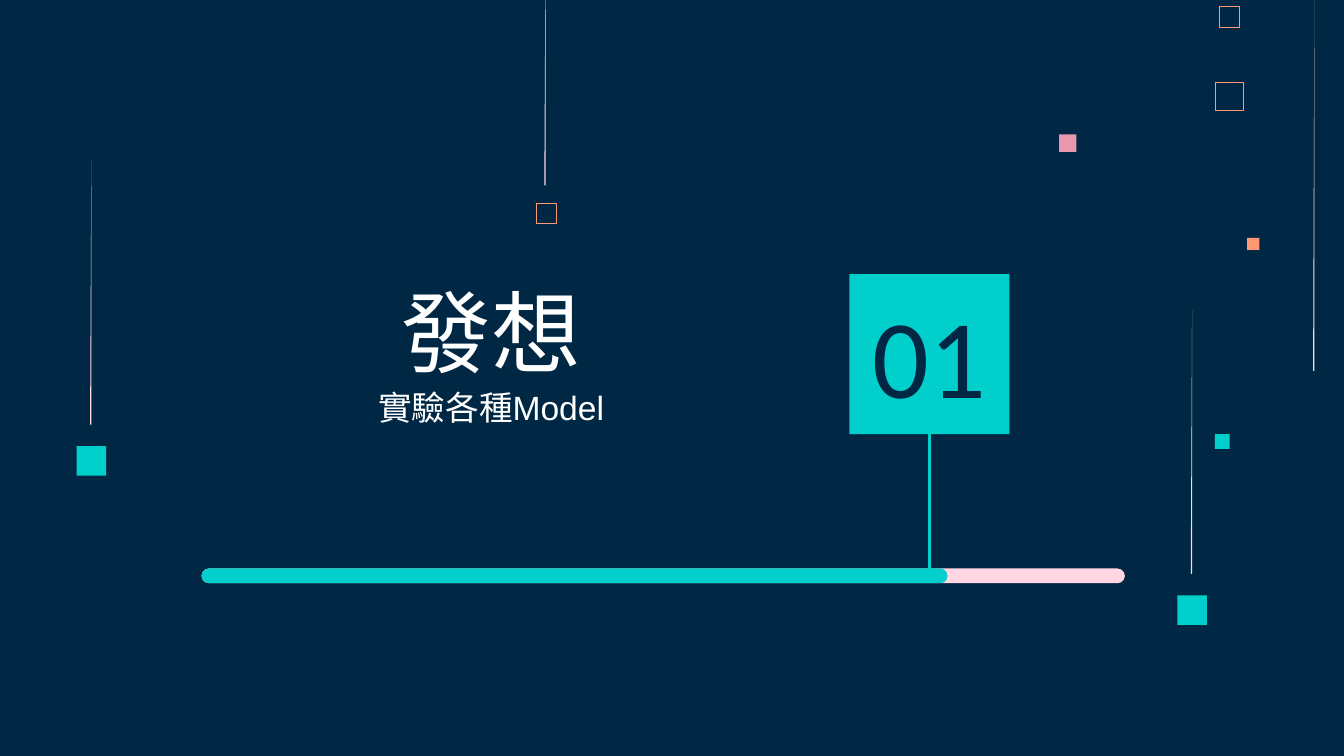
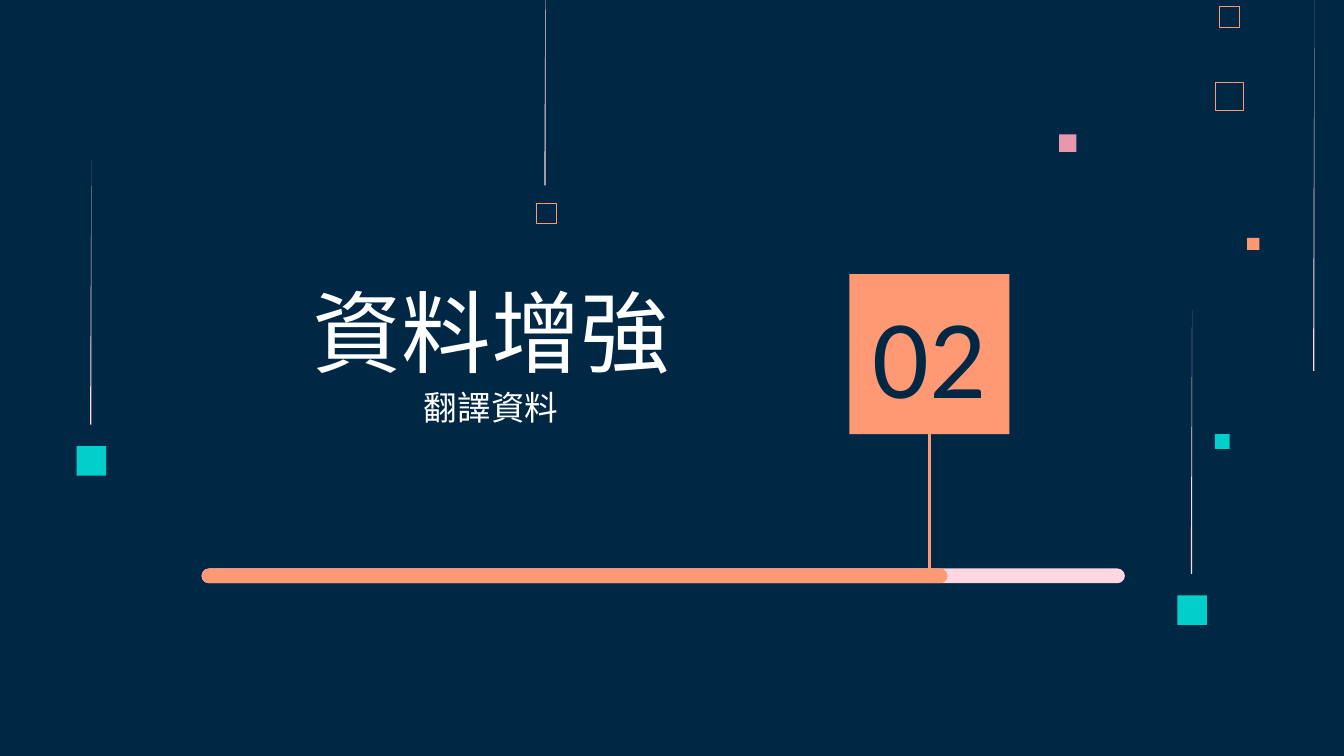
from dataclasses import dataclass

from lxml import etree
from pptx import Presentation
from pptx.dml.color import RGBColor
from pptx.enum.shapes import MSO_CONNECTOR, MSO_SHAPE
from pptx.enum.text import MSO_ANCHOR, MSO_AUTO_SIZE, PP_ALIGN
from pptx.oxml.ns import qn
from pptx.util import Inches, Pt

RECT, ROUNDED = MSO_SHAPE.RECTANGLE, MSO_SHAPE.ROUNDED_RECTANGLE
STRAIGHT = MSO_CONNECTOR.STRAIGHT
TOP, MIDDLE, BOTTOM = MSO_ANCHOR.TOP, MSO_ANCHOR.MIDDLE, MSO_ANCHOR.BOTTOM
CENTER = PP_ALIGN.CENTER
NO_AUTOFIT = MSO_AUTO_SIZE.NONE


@dataclass(frozen=True)
class Theme:
    """Colours, fonts and type sizes of the deck."""
    navy: str = "002845"
    teal: str = "00CFCC"
    orange: str = "FF9973"
    rose: str = "E898AC"
    pink: str = "FFD6E1"
    white: str = "FFFFFF"
    title_font: str = "Calibri"
    body_font: str = "Arial"
    title_size: int = 48
    subtitle_size: int = 18
    number_size: int = 60


THEME = Theme()

SOLID_SQUARES = [
    (7.88, 1, 0.13, THEME.rose),
    (9.04, 3.23, 0.11, THEME.teal),
    (9.28, 1.77, 0.09, THEME.orange),
    (8.76, 4.43, 0.22, THEME.teal),
    (0.57, 3.32, 0.22, THEME.teal),
]
OUTLINED_SQUARES = [
    (9.04, 0.61, 0.21, 0.45),
    (9.07, 0.05, 0.15, 0.32),
    (3.99, 1.51, 0.15, 0.32),
]
STREAKS = [
    (4.05, -0.48, 1.38),
    (9.77, 0, 2.76),
    (8.86, 2.31, 4.27),
    (0.67, 1.19, 3.16),
]
SECTIONS = [
    ("01", "發想", "實驗各種Model", THEME.teal),
    ("02", "資料增強", "翻譯資料", THEME.orange),
]


def rgb(color):
    """Turn a hex string into a colour."""
    return RGBColor.from_string(color)


def paint(sp, color):
    """Fill a shape with one colour, without outline or shadow."""
    sp.shadow.inherit = False
    sp.fill.solid()
    sp.fill.fore_color.rgb = rgb(color)
    sp.line.fill.background()
    return sp


def add_block(slide, kind, left, top, width, height, color):
    """Add a plain filled preset shape."""
    box = [Inches(n) for n in (left, top, width, height)]
    return paint(slide.shapes.add_shape(kind, *box), color)


def add_outlined_square(slide, left, top, size, weight):
    """Add an empty square with a thin outline."""
    sp = add_block(slide, RECT, left, top, size, size, THEME.orange)
    sp.fill.background()
    sp.line.color.rgb = rgb(THEME.orange)
    sp.line.width = Pt(weight)
    return sp


def add_streak(slide, left, top, bottom):
    """Add a very thin triangle that fades towards its top."""
    x, y, right, end = [Inches(n) for n in (left, top, left + 0.01, bottom)]
    builder = slide.shapes.build_freeform(right, y)
    builder.add_line_segments([(x, end), (right, end)], close=True)
    return paint(builder.convert_to_shape(), THEME.pink)


def add_progress_bar(slide, width, color):
    """Add a bar with round ends."""
    sp = add_block(slide, ROUNDED, 1.5, 4.23, width, 0.11, color)
    sp.adjustments[0] = 0.5


def add_stem(slide, badge, color):
    """Join the number badge to the progress bar."""
    x = badge.left + badge.width // 2
    line = slide.shapes.add_connector(
        STRAIGHT, x, badge.top + badge.height, x, Inches(4.3))
    line.begin_connect(badge, 2)
    line.line.color.rgb = rgb(color)
    line.line.width = Pt(1.5)
    etree.SubElement(line.element.spPr, qn("a:effectLst"))


def set_text(sp, text, box, font, size, color, anchor):
    """Place a text shape and write one centred paragraph in it."""
    sp.left, sp.top, sp.width, sp.height = [Inches(n) for n in box]
    tf = sp.text_frame
    tf.text = text
    tf.word_wrap = True
    tf.auto_size = NO_AUTOFIT
    tf.vertical_anchor = anchor
    tf.margin_left = tf.margin_right = Inches(0.1)
    tf.margin_top = tf.margin_bottom = Inches(0.1)
    p = tf.paragraphs[0]
    p.alignment = CENTER
    p.space_before = Pt(0)
    r = p.runs[0]
    r.font.name = font
    r.font.size = Pt(size)
    r.font.color.rgb = rgb(color)


def decorate_layout(layout, slide):
    """Draw the shared squares and streaks and move them to the layout."""
    shapes = [add_block(slide, RECT, x, y, size, size, color)
              for x, y, size, color in SOLID_SQUARES]
    shapes += [add_outlined_square(slide, *square) for square in OUTLINED_SQUARES]
    shapes += [add_streak(slide, *streak) for streak in STREAKS]
    for number, sp in enumerate(shapes, start=100):
        sp.element.xpath(".//p:cNvPr")[0].set("id", str(number))
        layout.shapes.element.append(sp.element)


def fill_section(slide, number, title, subtitle, color):
    """Write one section opener with its numbered badge and progress bar."""
    set_text(slide.shapes.title, title, (2.22, 2.04, 2.87, 0.92),
             THEME.title_font, THEME.title_size, THEME.white, BOTTOM)
    set_text(slide.placeholders[1], subtitle, (1.96, 2.78, 3.39, 1.15),
             THEME.body_font, THEME.subtitle_size, THEME.white, TOP)
    badge = add_block(slide, RECT, 6.32, 2.04, 1.19, 1.19, color)
    label = slide.shapes.add_textbox(0, 0, 0, 0)
    set_text(label, number, (6.38, 2.32, 1.07, 0.63),
             THEME.title_font, THEME.number_size, THEME.navy, MIDDLE)
    add_progress_bar(slide, 6.87, THEME.pink)
    add_progress_bar(slide, 5.55, color)
    add_stem(slide, badge, color)


def main():
    """Build the section openers."""
    prs = Presentation()
    prs.slide_width = Inches(10)
    prs.slide_height = prs.slide_width * 9 // 16
    layout = prs.slide_layouts[0]
    layout.background.fill.solid()
    layout.background.fill.fore_color.rgb = rgb(THEME.navy)
    slides = [prs.slides.add_slide(layout) for _ in SECTIONS]
    decorate_layout(layout, slides[0])
    for slide, section in zip(slides, SECTIONS):
        fill_section(slide, *section)
    prs.save("out.pptx")


if __name__ == "__main__":
    main()
